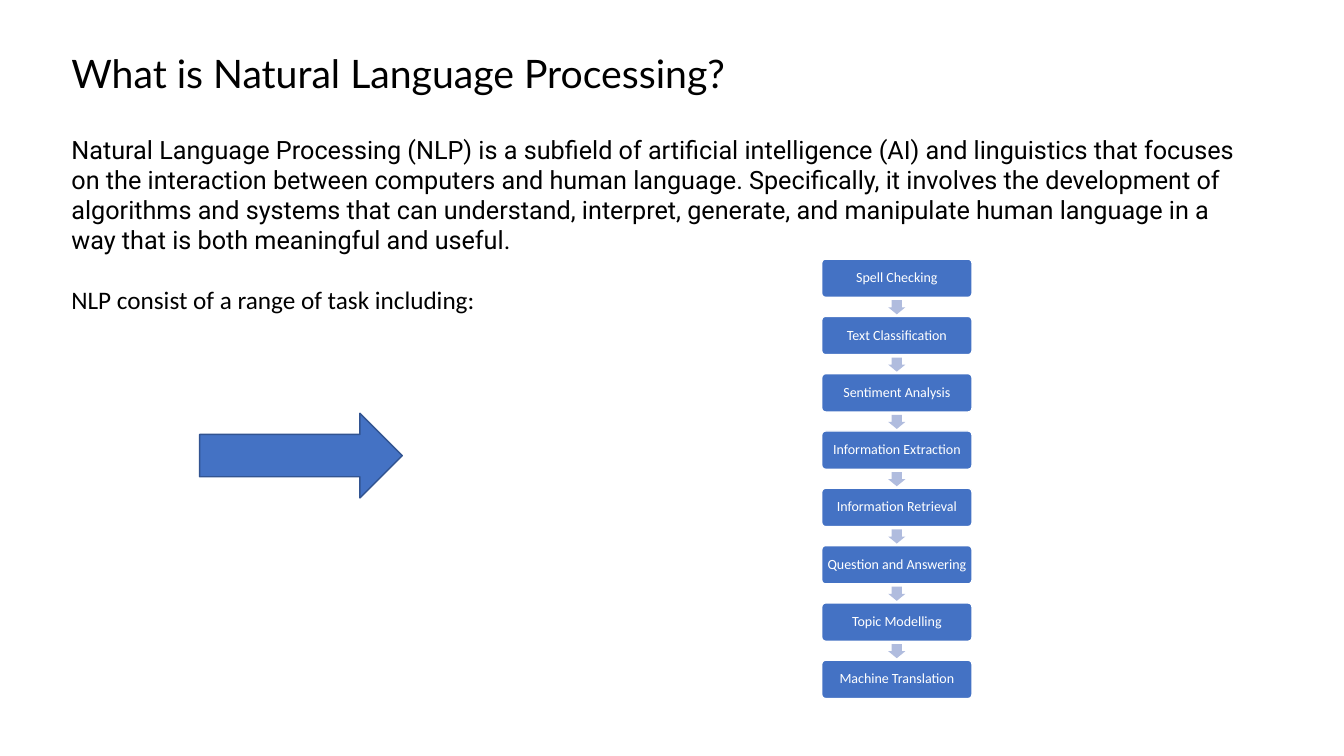
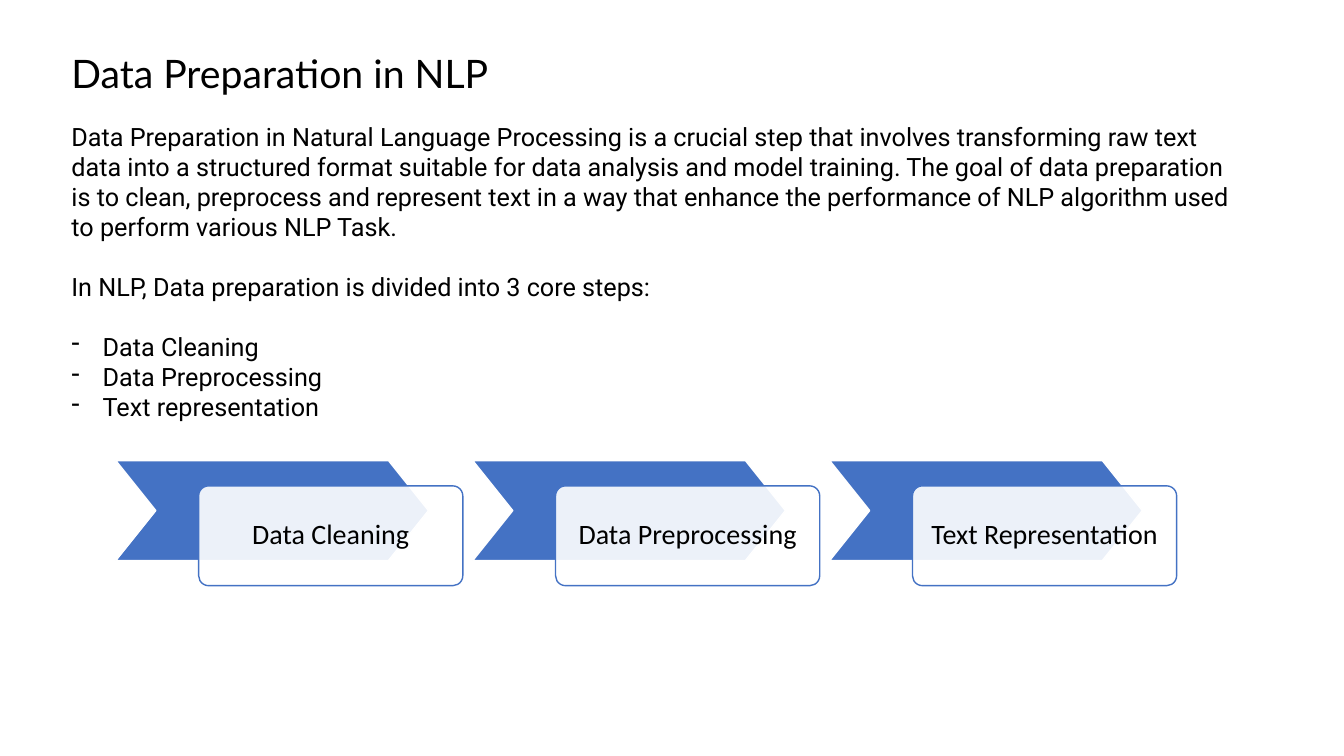
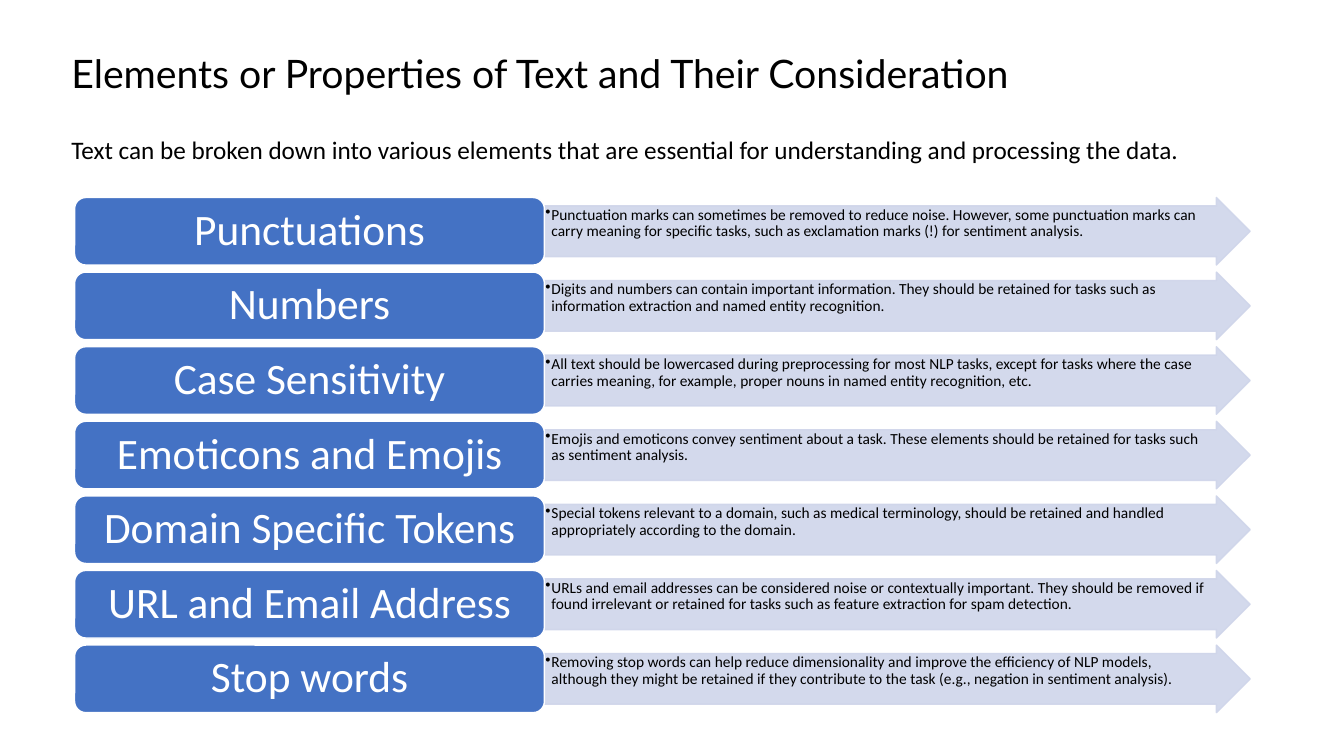
from lxml import etree
from pptx import Presentation
from pptx.dml.color import RGBColor
from pptx.enum.shapes import MSO_SHAPE
from pptx.enum.text import MSO_ANCHOR, PP_ALIGN
from pptx.oxml.ns import qn
from pptx.util import Inches, Pt

ROUND = MSO_SHAPE.ROUNDED_RECTANGLE
RIGHT = MSO_SHAPE.RIGHT_ARROW
DOWN = MSO_SHAPE.DOWN_ARROW
CHEVRON = MSO_SHAPE.CHEVRON
MIDDLE, TOP = MSO_ANCHOR.MIDDLE, MSO_ANCHOR.TOP
CENTER, LEFT = PP_ALIGN.CENTER, PP_ALIGN.LEFT

# Shared look
BLUE, NAVY, PALE, MIST = "4472C4", "325491", "CFD5EA", "B0BCDE"
WHITE, BLACK = "FFFFFF", "000000"
HEAD, BODY, LABEL = "Lato", "Roboto", "Calibri"
EDGE = 0.61

TASKS = [
    "Spell Checking", "Text Classification", "Sentiment Analysis",
    "Information Extraction", "Information Retrieval",
    "Question and Answering", "Topic Modelling", "Machine Translation",
]
STEPS = ["Data Cleaning", "Data Preprocessing", "Text Representation"]
TRAITS = [
    ("Punctuations",
     "Punctuation marks can sometimes be removed to reduce noise. However, "
     "some punctuation marks can carry meaning for specific tasks, such as "
     "exclamation marks (!) for sentiment analysis."),
    ("Numbers",
     "Digits and numbers can contain important information. They should be "
     "retained for tasks such as information extraction and named entity "
     "recognition."),
    ("Case Sensitivity",
     "All text should be lowercased during preprocessing for most NLP tasks, "
     "except for tasks where the case carries meaning, for example, proper "
     "nouns in named entity recognition, etc."),
    ("Emoticons and Emojis",
     "Emojis and emoticons convey sentiment about a task. These elements "
     "should be retained for tasks such as sentiment analysis."),
    ("Domain Specific Tokens",
     "Special tokens relevant to a domain, such as medical terminology, "
     "should be retained and handled appropriately according to the domain."),
    ("URL and Email Address",
     "URLs and email addresses can be considered noise or contextually "
     "important. They should be removed if found irrelevant or retained for "
     "tasks such as feature extraction for spam detection."),
    ("Stop words",
     "Removing stop words can help reduce dimensionality and improve the "
     "efficiency of NLP models, although they might be retained if they "
     "contribute to the task (e.g., negation in sentiment analysis)."),
]


def paint(target, color, alpha=100):
    """Set a solid colour on a fill, with optional opacity in percent."""
    target.solid()
    target.fore_color.rgb = RGBColor.from_string(color)
    if alpha < 100:
        node = target._xPr.find(qn("a:solidFill"))[0]
        etree.SubElement(node, qn("a:alpha"), val=str(alpha * 1000))


def write(shape, words, size=18, font=BODY, color=BLACK, align=LEFT,
          after=0, lines=None, bullet=None, indent=0):
    """Add one paragraph; the first call fills the empty one."""
    frame = shape.text_frame
    para = frame.paragraphs[0] if not frame.text else frame.add_paragraph()
    para.alignment = align
    para.space_after = Pt(after)
    if lines:
        para.line_spacing = lines
    if bullet:
        props = para._p.get_or_add_pPr()
        props.set("marL", str(Inches(indent)))
        props.set("indent", str(-Inches(indent)))
        etree.SubElement(props, qn("a:buChar"), char=bullet)
    run = para.add_run()
    run.text = words
    run.font.size = Pt(size)
    run.font.name = font
    run.font.color.rgb = RGBColor.from_string(color)


def box(slide, top, wide, high):
    """Add a text box on the left edge."""
    area = slide.shapes.add_textbox(*map(Inches, (EDGE, top, wide, high)))
    area.text_frame.word_wrap = True
    return area


def block(slide, kind, place, fill, line=None, adjust=(), alpha=100, fade=100):
    """Add a preset shape; fade is the opacity of its outline."""
    shape = slide.shapes.add_shape(kind, *map(Inches, place))
    shape.shadow.inherit = False
    for pos, value in enumerate(adjust):
        shape.adjustments[pos] = value
    paint(shape.fill, fill, alpha)
    if line:
        shape.line.width = Pt(1)
        paint(shape.line.fill, line, fade)
    else:
        shape.line.fill.background()
    return shape


def inset(shape, left, top, right, bottom, anchor=MIDDLE, wrap=False):
    frame = shape.text_frame
    frame.margin_left, frame.margin_top = Inches(left), Inches(top)
    frame.margin_right, frame.margin_bottom = Inches(right), Inches(bottom)
    frame.vertical_anchor = anchor
    frame.word_wrap = wrap


def label(shape, words, size, color=WHITE):
    """Centre one line of text in a shape."""
    inset(shape, 0.04, 0.04, 0.04, 0.04)
    write(shape, words, size=size, font=LABEL, color=color,
          align=CENTER, lines=0.9)


def start(deck, title, wide=6.77):
    slide = deck.slides.add_slide(deck.slide_layouts[6])
    write(box(slide, 0.44, wide, 0.57), title, size=28, font=HEAD)
    return slide


def intro(deck):
    slide = start(deck, "What is Natural Language Processing?")
    area = box(slide, 1.28, 11.85, 2.83)
    write(area, "Natural Language Processing (NLP) is a subfield of artificial "
          "intelligence (AI) and linguistics that focuses on the interaction "
          "between computers and human language. Specifically, it involves the "
          "development of algorithms and systems that can understand, "
          "interpret, generate, and manipulate human language in a way that is "
          "both meaningful and useful.", after=21)
    write(area, "NLP consist of a range of task including:", font=LABEL)
    # Chain of tasks
    for row, task in enumerate(TASKS):
        top = 2.57 + row * 3.98 / (len(TASKS) - 1)
        if row:
            block(slide, DOWN, (8.81, top - 0.16, 0.17, 0.14), MIST,
                  adjust=(0.6, 0.5))
        label(block(slide, ROUND, (8.15, top, 1.49, 0.38), BLUE, WHITE, (0.1,)),
              task, 10)
    block(slide, RIGHT, (1.98, 4.1, 2.01, 0.84), BLUE, NAVY)


def prepare(deck):
    slide = start(deck, "Data Preparation in NLP")
    area = box(slide, 1.15, 11.88, 4.04)
    write(area, "Data Preparation in Natural Language Processing is a crucial "
          "step that involves transforming raw text data into a structured "
          "format suitable for data analysis and model training. The goal of "
          "data preparation is to clean, preprocess and represent text in a "
          "way that enhance the performance of NLP algorithm used to perform "
          "various NLP Task.", after=21)
    write(area, "In NLP, Data preparation is divided into 3 core steps:",
          after=21)
    for item in ("Data Cleaning", "Data Preprocessing", "Text representation"):
        write(area, item, bullet="-", indent=0.31)
    # Row of steps
    for col, step in enumerate(STEPS):
        left = 1.15 + col * 3.54
        block(slide, CHEVRON, (left, 4.57, 3.1, 0.99), BLUE, WHITE, (0.4,))
        card = block(slide, ROUND, (left + 0.82, 4.82, 2.62, 0.99), WHITE,
                     BLUE, (0.1,), alpha=90)
        label(card, step, 20, BLACK)


def traits(deck):
    slide = start(deck, "Elements or Properties of Text and Their Consideration",
                  10.24)
    write(box(slide, 1.28, 11.49, 0.4),
          "Text can be broken down into various elements that are essential "
          "for understanding and processing the data.", font=LABEL)
    # Named rows with an arrow of notes
    for row, (name, note) in enumerate(TRAITS):
        top = 1.96 + row * 0.74
        arrow = block(slide, RIGHT, (5.4, top, 7, 0.67), PALE, PALE,
                      (0.75, 0.5), alpha=90, fade=90)
        inset(arrow, 0.01, 0.01, 0.19, 0.01, TOP, True)
        write(arrow, note, size=11, font=LABEL, lines=0.9, bullet="•",
              indent=0.06)
        label(block(slide, ROUND, (0.74, top, 4.66, 0.67), BLUE, WHITE),
              name, 31)


def main():
    deck = Presentation()
    deck.slide_width, deck.slide_height = Inches(13.33), Inches(7.5)
    intro(deck)
    prepare(deck)
    traits(deck)
    deck.save("out.pptx")


if __name__ == "__main__":
    main()
